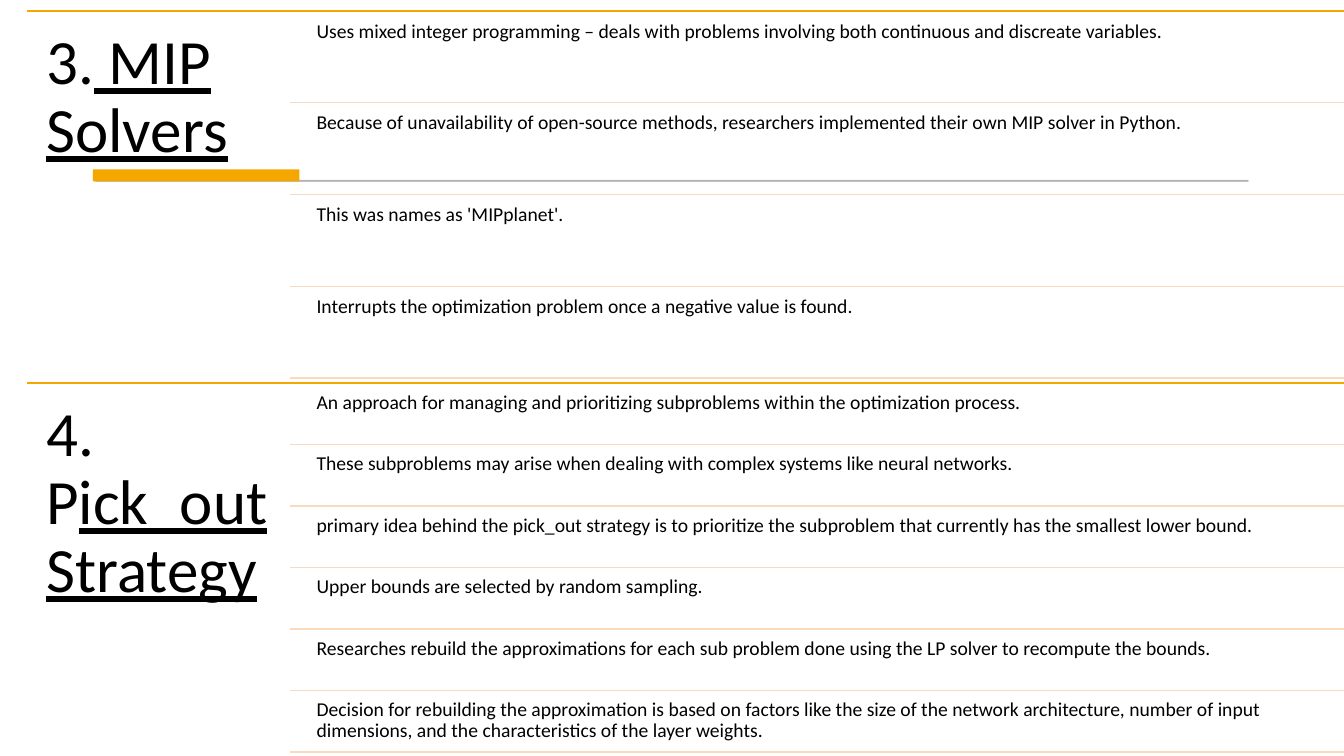
from dataclasses import dataclass

from lxml import etree
from pptx import Presentation
from pptx.dml.color import RGBColor
from pptx.enum.shapes import MSO_CONNECTOR as Connector, MSO_SHAPE as Shape
from pptx.enum.text import MSO_ANCHOR as Anchor
from pptx.oxml.ns import qn
from pptx.util import Inches, Pt


@dataclass(frozen=True)
class Theme:
    font: str = "Calibri"
    heading_size: int = 45
    point_size: int = 14
    ink: RGBColor = RGBColor.from_string("000000")
    accent: RGBColor = RGBColor.from_string("F5A700")
    divider: RGBColor = RGBColor.from_string("FAD9BD")
    rule: RGBColor = RGBColor.from_string("595959")


theme = Theme()
SLIDE_WIDTH = 13.33
HEADING_LEFT, HEADING_WIDTH, HEADING_HEIGHT = 0.27, 2.62, 3.69
DIVIDER_LEFT, POINT_LEFT = 2.88, 3.08

prs = Presentation()
prs.slide_width, prs.slide_height = Inches(SLIDE_WIDTH), Inches(7.5)
slide = prs.slides.add_slide(prs.slide_layouts[6])


def add_text(text, *, left, top, width, height, size, inset, underlined=""):
    """Add a text box; the underlined part follows the plain part."""
    box = slide.shapes.add_textbox(Inches(left), Inches(top), Inches(width), Inches(height))
    frame = box.text_frame
    frame.word_wrap = True
    frame.vertical_anchor = Anchor.TOP
    frame.margin_left = frame.margin_right = Inches(inset)
    frame.margin_top = frame.margin_bottom = Inches(inset)
    paragraph = frame.paragraphs[0]
    paragraph.line_spacing = 0.9
    for part, underline in ((text, False), (underlined, True)):
        if part:
            run = paragraph.add_run()
            run.text = part
            run.font.name = theme.font
            run.font.size = Pt(size)
            run.font.color.rgb = theme.ink
            run.font.underline = underline


def add_line(left, y, color):
    """Add a horizontal line that runs to the right edge of the slide."""
    line = slide.shapes.add_connector(
        Connector.STRAIGHT, Inches(left), Inches(y), Inches(SLIDE_WIDTH), Inches(y))
    line.line.color.rgb = color
    line.line.width = Pt(1)
    etree.SubElement(line._element.spPr, qn("a:effectLst"))


# Translucent grey rule with the accent bar over its left end
rule = slide.shapes.add_shape(
    Shape.RECTANGLE, Inches(0.95), Inches(1.79), Inches(11.43), Inches(0.01))
rule.shadow.inherit = False
rule.fill.solid()
rule.fill.fore_color.rgb = theme.rule
rule.line.color.rgb = theme.rule
rule.line.width = Pt(0.75)
for color in rule._element.spPr.iter(qn("a:srgbClr")):
    etree.SubElement(color, qn("a:alpha"), val="30000")

accent_bar = slide.shapes.add_shape(
    Shape.RECTANGLE, Inches(0.92), Inches(1.68), Inches(2.05), Inches(0.12))
accent_bar.shadow.inherit = False
accent_bar.fill.solid()
accent_bar.fill.fore_color.rgb = theme.accent
accent_bar.line.fill.background()

# Sections: top, plain and underlined heading, first point, pitch, point height, points
sections = [
    (0.11, "3.", " MIP Solvers", 0.15, 0.91, 0.87, [
        "Uses mixed integer programming – deals with problems involving both continuous and discreate variables.",
        "Because of unavailability of open-source methods, researchers implemented their own MIP solver in Python.",
        "This was names as 'MIPplanet'.",
        "Interrupts the optimization problem once a negative value is found.",
    ]),
    (3.8, "4. P", "ick_out Strategy", 3.83, 0.61, 0.58, [
        "An approach for managing and prioritizing subproblems within the optimization process.",
        "These subproblems may arise when dealing with complex systems like neural networks.",
        "primary idea behind the pick_out strategy is to prioritize the subproblem that currently has the smallest lower bound.",
        "Upper bounds are selected by random sampling.",
        "Researches rebuild the approximations for each sub problem done using the LP solver to recompute the bounds.",
        "Decision for rebuilding the approximation is based on factors like the size of the network architecture, "
        "number of input dimensions, and the characteristics of the layer weights.",
    ]),
]

for top, number, title, first_top, pitch, point_height, points in sections:
    add_line(HEADING_LEFT, top, theme.accent)
    add_text(number, underlined=title, left=HEADING_LEFT, top=top, width=HEADING_WIDTH,
             height=HEADING_HEIGHT, size=theme.heading_size, inset=0.19)
    for row, point in enumerate(points):
        point_top = first_top + row * pitch
        add_text(point, left=POINT_LEFT, top=point_top, width=SLIDE_WIDTH - POINT_LEFT,
                 height=point_height, size=theme.point_size, inset=0.06)
        add_line(DIVIDER_LEFT, point_top + point_height, theme.divider)

prs.save("out.pptx")
